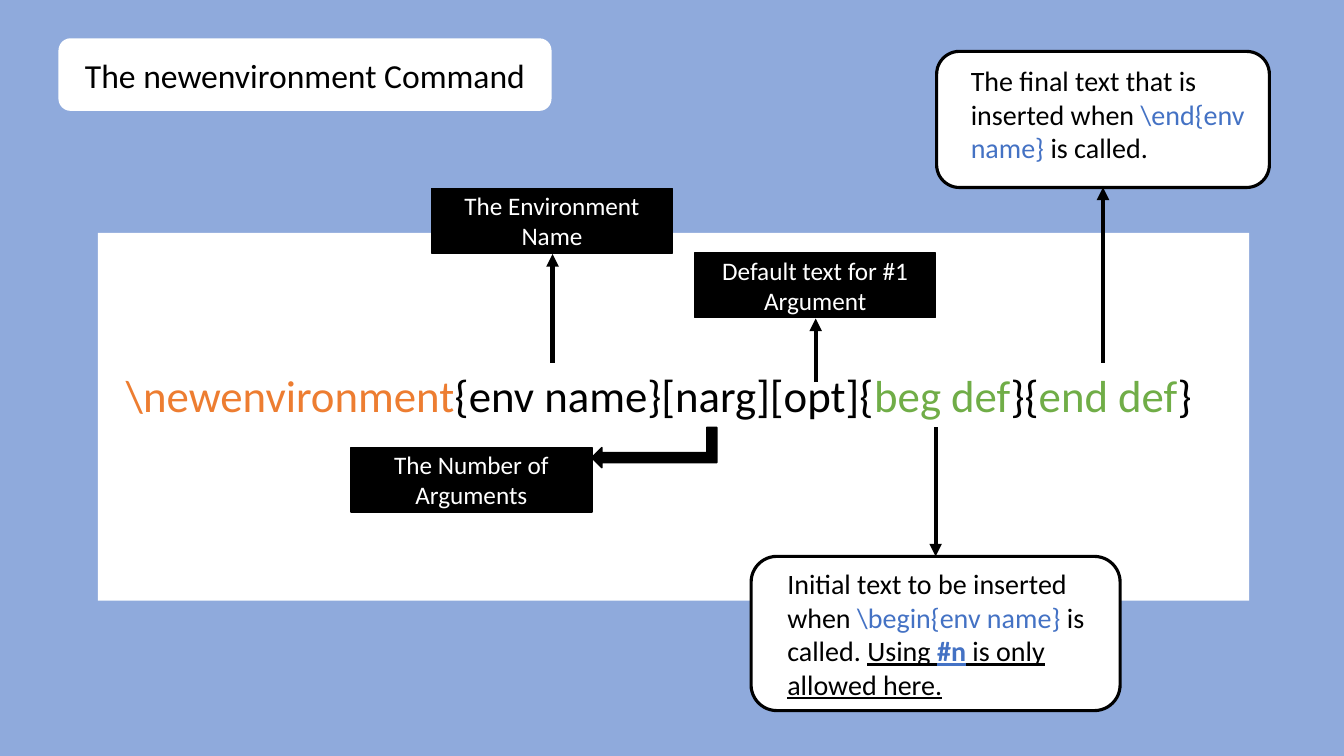
from lxml import etree
from pptx import Presentation
from pptx.dml.color import RGBColor
from pptx.enum.shapes import MSO_CONNECTOR as CONN, MSO_SHAPE as SHAPE
from pptx.enum.text import MSO_ANCHOR as ANCHOR, MSO_AUTO_SIZE as AUTO, PP_ALIGN as ALIGN
from pptx.oxml.ns import qn
from pptx.util import Pt

PX = 9144
COLORS = {
    "back": "8FAADC",
    "white": "FFFFFF",
    "black": "000000",
    "command": "ED7D31",
    "definition": "70AD47",
    "code": "4472C4",
}


def rgb(name):
    return RGBColor.from_string(COLORS[name])


def emu(*lengths):
    return [n * PX for n in lengths]


def add_box(s, kind, box, fill, line_pt=0):
    sp = s.shapes.add_shape(kind, *emu(*box))
    sp.shadow.inherit = False
    sp.fill.solid()
    sp.fill.fore_color.rgb = rgb(fill)
    if line_pt:
        sp.line.color.rgb = rgb("black")
        sp.line.width = Pt(line_pt)
    else:
        sp.line.fill.background()
    return sp


def write(sp, runs, size, align=ALIGN.LEFT, anchor=ANCHOR.TOP):
    tf = sp.text_frame
    tf.word_wrap = True
    tf.vertical_anchor = anchor
    p = tf.paragraphs[0]
    p.alignment = align
    for text, color, *extra in runs:
        r = p.add_run()
        r.text = text
        r.font.color.rgb = rgb(color)
        formats = {"name": "Calibri", "size": Pt(size)}
        for item in extra:
            formats.update(item)
        for key, value in formats.items():
            setattr(r.font, key, value)


def add_text(s, box, runs, size):
    sp = s.shapes.add_textbox(*emu(*box))
    write(sp, runs, size)
    sp.text_frame.auto_size = AUTO.SHAPE_TO_FIT_TEXT


def add_arrow(s, x, start, end):
    c = s.shapes.add_connector(CONN.STRAIGHT, *emu(x, start, x, end))
    c.line.color.rgb = rgb("black")
    c.line.width = Pt(3)
    etree.SubElement(c.line._get_or_add_ln(), qn("a:tailEnd"), type="triangle")
    etree.SubElement(c._element.spPr, qn("a:effectLst"))


def add_title(s, box, text):
    sp = add_box(s, SHAPE.ROUNDED_RECTANGLE, box, "white")
    write(sp, [(text, "black")], 24, ALIGN.CENTER, ANCHOR.MIDDLE)


def add_syntax(s, box, runs):
    x, y, w, h = box
    add_box(s, SHAPE.RECTANGLE, box, "white")
    add_text(s, (x + 18, y + 129, w - 36, 64), runs, 32)


def add_label(s, x, y, text, arrow_start=None):
    w, h = 239, 64
    if arrow_start:
        add_arrow(s, x + 120, arrow_start, y + h + 1)
    sp = add_box(s, SHAPE.RECTANGLE, (x, y, w, h), "black", 1)
    write(sp, [(text, "white")], 18, ALIGN.CENTER, ANCHOR.MIDDLE)


def add_bent_arrow(s, x, y, length, depth):
    shift = (length - depth) // 2
    box = (x + shift, y - shift, depth, length)
    sp = add_box(s, SHAPE.BENT_UP_ARROW, box, "black", 1)
    sp.rotation = 270
    sp._element.spPr.xfrm.set("flipH", "1")


def add_callout(s, box, inset, runs, arrow_start):
    x, y, w, h = box
    dx, dy, text_w, text_h = inset
    arrow_end = y if arrow_start < y else y + h
    add_arrow(s, x + w // 2, arrow_start, arrow_end)
    add_box(s, SHAPE.ROUNDED_RECTANGLE, box, "white", 2.25)
    add_text(s, (x + dx, y + dy, text_w, text_h), runs, 20)


def build_slide(prs):
    s = prs.slides.add_slide(prs.slide_layouts[6])
    s.background.fill.solid()
    s.background.fill.fore_color.rgb = rgb("back")

    add_title(s, (58, 38, 489, 72), "The newenvironment Command")
    add_syntax(s, (97, 231, 1142, 365), [
        ("\\newenvironment", "command"),
        ("{env name}[narg][opt]{", "black"),
        ("beg def", "definition"),
        ("}{", "black"),
        ("end def", "definition"),
        ("}", "black"),
    ])
    add_label(s, 428, 187, "The Environment Name", 360)
    add_label(s, 689, 251, "Default text for #1 Argument", 379)
    add_label(s, 348, 444, "The Number of Arguments")
    add_bent_arrow(s, 587, 424, 124, 40)

    under = {"underline": True}
    add_callout(s, (745, 552, 366, 153), (26, 5, 332, 145), [
        ("Initial text to be inserted when ", "black"),
        ("\\begin{env name} ", "code"),
        ("is called. ", "black"),
        ("Using ", "black", under),
        ("#n", "code", under, {"bold": True}),
        (" is only allowed here.", "black", under),
    ], 424)
    add_callout(s, (929, 51, 330, 135), (24, 7, 322, 111), [
        ("The final text that is inserted when ", "black"),
        ("\\end{env name} ", "code"),
        ("is called.", "black"),
    ], 360)


def main():
    prs = Presentation()
    prs.slide_width, prs.slide_height = emu(1333, 750)
    build_slide(prs)
    prs.save("out.pptx")


if __name__ == "__main__":
    main()
